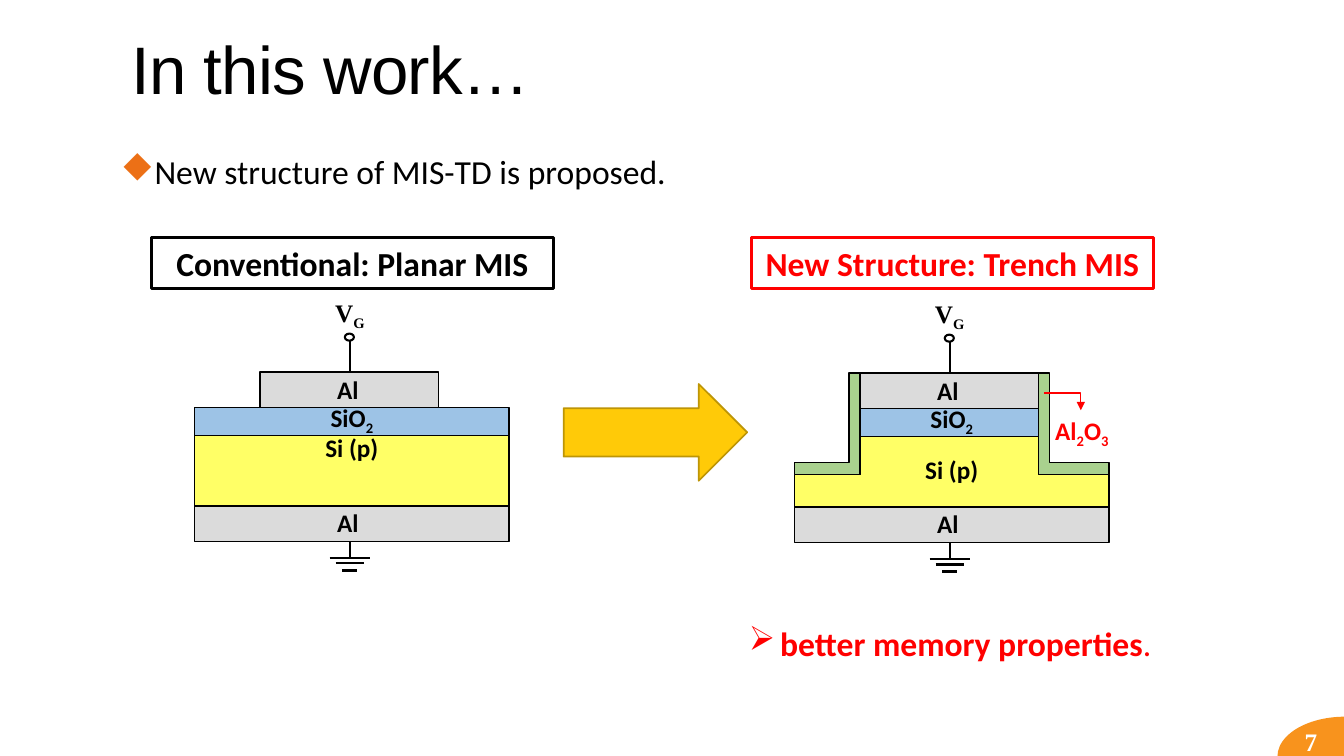
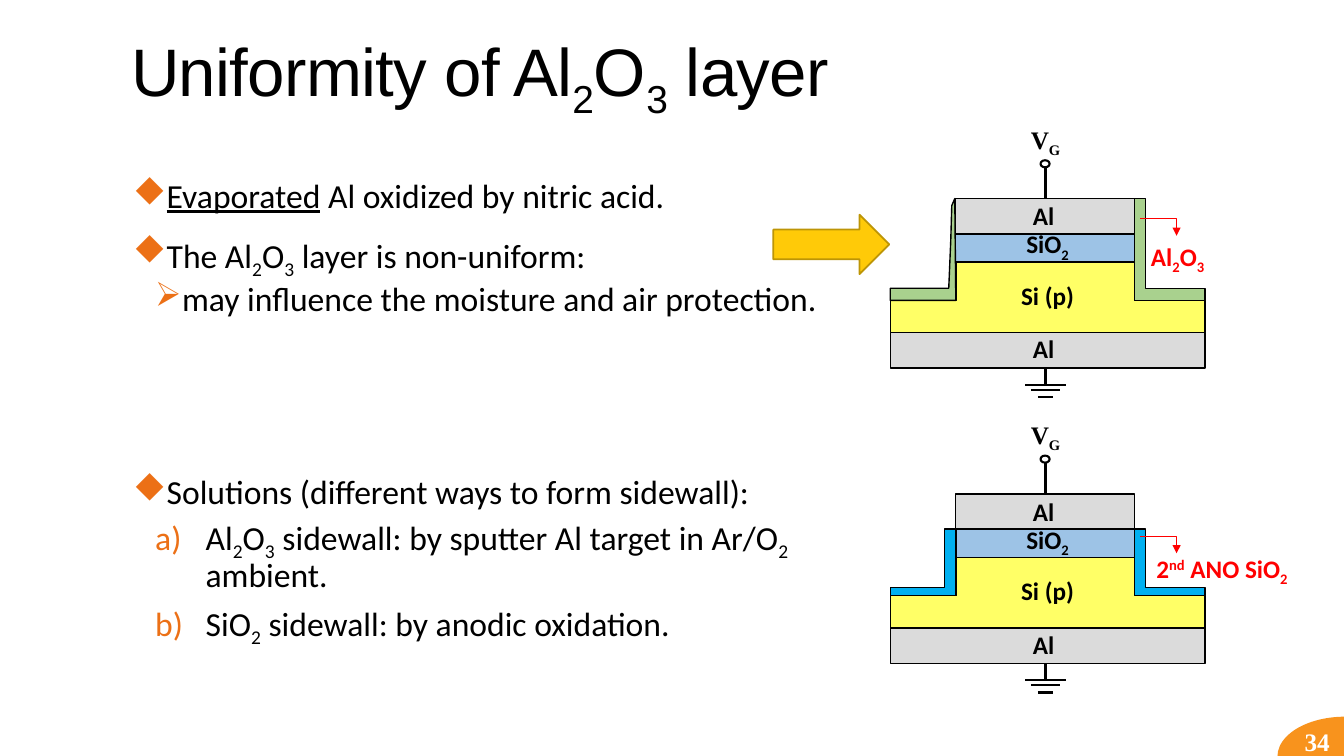
"""Build two slides on planar and trench MIS tunnel diode structures."""
import lxml.etree
import pptx
import pptx.dml.color
import pptx.enum.shapes
import pptx.enum.text
import pptx.oxml.ns
import pptx.util

RGB = pptx.dml.color.RGBColor
SHAPE = pptx.enum.shapes.MSO_SHAPE
CONNECTOR = pptx.enum.shapes.MSO_CONNECTOR
ALIGN = pptx.enum.text.PP_ALIGN
ANCHOR = pptx.enum.text.MSO_ANCHOR
inches = pptx.util.Inches
qn = pptx.oxml.ns.qn

BLACK = RGB(0x00, 0x00, 0x00)
WHITE = RGB(0xFF, 0xFF, 0xFF)
RED = RGB(0xFF, 0x00, 0x00)
BULLET = RGB(0xEC, 0x70, 0x16)
CORNER = RGB(0xF8, 0x93, 0x1D)
ARROW_FILL = RGB(0xFF, 0xCA, 0x08)
ARROW_LINE = RGB(0xBD, 0x95, 0x06)
METAL = RGB(0xDB, 0xDB, 0xDB)
OXIDE = RGB(0x9D, 0xC3, 0xE6)
SILICON = RGB(0xFF, 0xFF, 0x66)
ALUMINA = RGB(0xA9, 0xD1, 0x8E)
ANODIC = RGB(0x00, 0xB0, 0xF0)
SANS, SERIF, TITLE_FONT = "Calibri", "Times New Roman", "Arial"

AL2O3 = [("Al", ""), ("2", "sub"), ("O", ""), ("3", "sub")]
SIO2 = [("SiO", ""), ("2", "sub")]
AL = [("Al", "")]
BASELINES = {"sub": "-25000", "sup": "30000"}

LEVELS = {
    "point": dict(margin=0.1, hang=0.1, before=12, after=2, font="Wingdings", char="u", color=BULLET),
    "arrow": dict(margin=0.42, hang=0.2, before=2, after=4, font="Wingdings", char="Ø", color=BULLET),
    "letter": dict(margin=0.72, hang=0.5, before=2, after=4, number="alphaLcParenR", color=BULLET),
    "result": dict(margin=0.31, hang=0.31, font="Wingdings", char="Ø", color=RED),
}
LEVELS["later point"] = dict(LEVELS["point"], before=108)

WIDTH, MESA_LEFT, MESA_RIGHT, AXIS = 3.12, 0.65, 2.42, 1.54
GATE, OXIDE_END, STEP, BASE, BOTTOM = 0.35, 0.63, 1.01, 1.33, 1.68
WALL = 0.11
GROUND_BARS = [(1.85, 0.4), (1.9, 0.28), (1.97, 0.15)]
THIN_EDGE = [(0.64, 0), (0.61, 0.07), (0.6, 0.41), (0.58, 0.89)]

ALUMINA_WALL = dict(color=ALUMINA, top=0, foot=0.12, callout=0.2,
                    label=AL2O3, center=(2.85, 0.57), width=0.84)
ANODIC_WALL = dict(color=ANODIC, top=GATE, foot=0.08, callout=0.42,
                   label=[("2", ""), ("nd", "sup"), (" ANO SiO", ""), ("2", "sub")],
                   center=(3.29, 0.74), width=1.76)

SLIDES = [
    dict(
        number="7", title=[("In this work…", "")],
        body=(1.2, 1.49, 11, 0.59),
        points=[("point", [("New structure of MIS-TD is proposed.", "")])],
        frames=[(1.5, "Conventional: Planar MIS", BLACK), (7.45, "New Structure: Trench MIS", RED)],
        devices=[(1.93, 3.69, None), (7.88, 3.7, ALUMINA_WALL)],
        result=[("better memory properties", ""), (".", "plain")],
        arrow=(5.59, 3.81, 1.82, 0.96)),
    dict(
        number="34", title=[("Uniformity of ", "")] + AL2O3 + [(" layer", "")],
        body=(1.32, 1.73, 7.1, 4.64),
        points=[
            ("point", [("Evaporated", "underline"), (" Al oxidized by nitric acid.", "")]),
            ("point", [("The ", "")] + AL2O3 + [(" layer is non-uniform:", "")]),
            ("arrow", [("may influence the moisture and air protection.", "")]),
            ("later point", [("Solutions (different ways to form sidewall):", "")]),
            ("letter", AL2O3 + [(" sidewall: by sputter Al target in Ar/O", ""), ("2 ", "sub"), ("ambient.", "")]),
            ("letter", SIO2 + [(" sidewall: by anodic oxidation.", "")])],
        frames=[],
        devices=[(8.83, 4.9, ANODIC_WALL), (8.83, 1.97, dict(ALUMINA_WALL, edge=THIN_EDGE))],
        result=None,
        arrow=(7.67, 2.13, 1.15, 0.59)),
]


def write_runs(para, runs, size, font=SANS, color=BLACK, bold=False):
    for text, style in runs:
        span = para.add_run()
        span.text = text
        span.font.size = pptx.util.Pt(size)
        span.font.name = font
        span.font.color.rgb = color
        span.font.bold = bold and style != "plain"
        if style == "underline":
            span.font.underline = True
        if style in BASELINES:
            span.font._element.set("baseline", BASELINES[style])


def set_bullet(para, level):
    props = para._p.get_or_add_pPr()
    props.set("marL", str(inches(level["margin"])))
    props.set("indent", str(-inches(level["hang"])))
    if "before" in level:
        para.line_spacing = 0.9
        para.space_before = pptx.util.Pt(level["before"])
        para.space_after = pptx.util.Pt(level["after"])
    tint = lxml.etree.SubElement(props, qn("a:buClr"))
    lxml.etree.SubElement(tint, qn("a:srgbClr"), val=str(level["color"]))
    if "number" in level:
        lxml.etree.SubElement(props, qn("a:buAutoNum"), type=level["number"])
    else:
        lxml.etree.SubElement(props, qn("a:buFont"), typeface=level["font"])
        lxml.etree.SubElement(props, qn("a:buChar"), char=level["char"])


def add_text(shapes, at, side_inset=0.1):
    box = shapes.add_textbox(*map(inches, at))
    frame = box.text_frame
    frame.word_wrap = True
    frame.margin_left = frame.margin_right = inches(side_inset)
    return frame


def paint(shape, fill, line=BLACK, weight=1):
    shape.shadow.inherit = False
    if fill is None:
        shape.fill.background()
    else:
        shape.fill.solid()
        shape.fill.fore_color.rgb = fill
    if line is None:
        shape.line.fill.background()
    else:
        shape.line.color.rgb = line
        shape.line.width = pptx.util.Pt(weight)
    return shape


def add_shape(shapes, kind, at, *style):
    return paint(shapes.add_shape(kind, *map(inches, at)), *style)


class Device:
    """A layered diode drawn in its own group, measured from the top left of its gate level."""

    def __init__(self, page, left, top, wall):
        self.shapes = page.shapes.add_group_shape().shapes
        self.left, self.top = left, top
        mesa = (MESA_LEFT, MESA_RIGHT)
        full = (0, WIDTH)
        self.layer(mesa, 0, GATE, METAL)
        self.layer(full, BASE, BOTTOM, METAL)
        self.layer(mesa if wall else full, GATE, OXIDE_END, OXIDE)
        if wall:
            self.outline([(MESA_LEFT, OXIDE_END), (MESA_RIGHT, OXIDE_END), (MESA_RIGHT, STEP), (WIDTH, STEP),
                          (WIDTH, BASE), (0, BASE), (0, STEP), (MESA_LEFT, STEP)], SILICON)
            self.sidewalls(wall)
        else:
            self.layer(full, OXIDE_END, BASE, SILICON)
        self.label(AL, 1.52, 0.17, 0.7)
        self.label(SIO2, 1.56, 0.45, 0.91)
        self.label([("Si (p)", "")], 1.56, 0.96 if wall else 0.75, 1.03)
        self.label(AL, 1.52, 1.49, 0.7)
        self.terminals()

    def layer(self, span, top, bottom, fill):
        start, end = span
        at = (self.left + start, self.top + top, end - start, bottom - top)
        add_shape(self.shapes, SHAPE.RECTANGLE, at, fill)

    def outline(self, points, fill):
        corners = [(inches(self.left + x), inches(self.top + y)) for x, y in points]
        builder = self.shapes.build_freeform(*corners[0])
        builder.add_line_segments(corners[1:], close=True)
        paint(builder.convert_to_shape(), fill)

    def label(self, runs, x, y, width, color=BLACK, font=SANS):
        at = (self.left + x - width / 2, self.top + y - 0.2, width, 0.4)
        para = add_text(self.shapes, at).paragraphs[0]
        para.alignment = ALIGN.CENTER
        write_runs(para, runs, 18, font, color, True)

    def line(self, start, end, color=BLACK, weight=1.5, kind=CONNECTOR.STRAIGHT):
        ends = [inches(v) for x, y in (start, end) for v in (self.left + x, self.top + y)]
        connector = self.shapes.add_connector(kind, *ends)
        connector.line.color.rgb = color
        connector.line.width = pptx.util.Pt(weight)
        lxml.etree.SubElement(connector._element.spPr, qn("a:effectLst"))
        return connector

    def sidewalls(self, wall):
        foot = STEP - wall["foot"]
        for inner, direction, outer in ((MESA_LEFT, -1, 0), (MESA_RIGHT, 1, WIDTH)):
            face = inner + direction * WALL
            edge = [(inner, wall["top"]), (face, wall["top"]), (face, foot)]
            if outer == 0:
                edge = wall.get("edge", edge)
            self.outline(edge + [(outer, foot), (outer, STEP), (inner, STEP)], wall["color"])
        start = wall["callout"]
        pointer = self.line((2.48, start), (2.84, start + 0.17), RED, 1, CONNECTOR.ELBOW)
        pointer._element.spPr.find(qn("a:prstGeom")).set("prst", "bentConnector2")
        lxml.etree.SubElement(pointer.line._get_or_add_ln(), qn("a:tailEnd"), type="triangle")
        self.label(wall["label"], *wall["center"], wall["width"], RED)

    def terminals(self):
        self.label([("V", ""), ("G", "sub")], AXIS, -0.59, 0.56, font=SERIF)
        knob = (self.left + AXIS - 0.05, self.top - 0.38, 0.09, 0.07)
        add_shape(self.shapes, SHAPE.OVAL, knob, WHITE, BLACK, 1.5)
        self.line((AXIS, -0.31), (AXIS, 0))
        self.line((AXIS, BOTTOM), (AXIS, GROUND_BARS[0][0]))
        for y, width in GROUND_BARS:
            self.line((AXIS - width / 2, y), (AXIS + width / 2, y))


def start_page(deck, title_runs, number):
    page = deck.slides.add_slide(deck.slide_layouts[5])
    corner = add_shape(page.shapes, SHAPE.PIE, (12.67, 7.11, 1.34, 0.79), CORNER, None)
    corner.adjustments[0], corner.adjustments[1] = 107.684, 162
    footer = add_text(page.shapes, (12.84, 7.16, 0.5, 0.4))
    write_runs(footer.paragraphs[0], [(number, "")], 18, SERIF, WHITE, True)
    title = page.shapes.title
    title.left, title.top, title.width, title.height = map(inches, (1.2, 0.2, 11, 1.06))
    title.text_frame.vertical_anchor = ANCHOR.MIDDLE
    para = title.text_frame.paragraphs[0]
    para.alignment = ALIGN.LEFT
    para.line_spacing = 0.85
    write_runs(para, title_runs, 48, TITLE_FONT)
    for span in para.runs:
        span.font._element.set("spc", "-50")
    return page


def build_page(deck, content):
    page = start_page(deck, content["title"], content["number"])
    body = add_text(page.shapes, content["body"], 0)
    for index, (level, runs) in enumerate(content["points"]):
        para = body.add_paragraph() if index else body.paragraphs[0]
        set_bullet(para, LEVELS[level])
        write_runs(para, runs, 24)
    for left, text, color in content["frames"]:
        box = add_shape(page.shapes, SHAPE.RECTANGLE, (left, 2.36, 3.99, 0.5), None, color, 2.25)
        para = box.text_frame.paragraphs[0]
        para.alignment = ALIGN.CENTER
        write_runs(para, [(text, "")], 24, SANS, color, True)
    for left, top, wall in content["devices"]:
        Device(page, left, top, wall)
    if content["result"]:
        para = add_text(page.shapes, (7.33, 6.13, 4.25, 0.5)).paragraphs[0]
        set_bullet(para, LEVELS["result"])
        write_runs(para, content["result"], 24, SANS, RED, True)
    add_shape(page.shapes, SHAPE.RIGHT_ARROW, content["arrow"], ARROW_FILL, ARROW_LINE, 1.25)


def main():
    deck = pptx.Presentation()
    deck.slide_width, deck.slide_height = inches(13.33), inches(7.5)
    for content in SLIDES:
        build_page(deck, content)
    deck.save("out.pptx")


if __name__ == "__main__":
    main()
